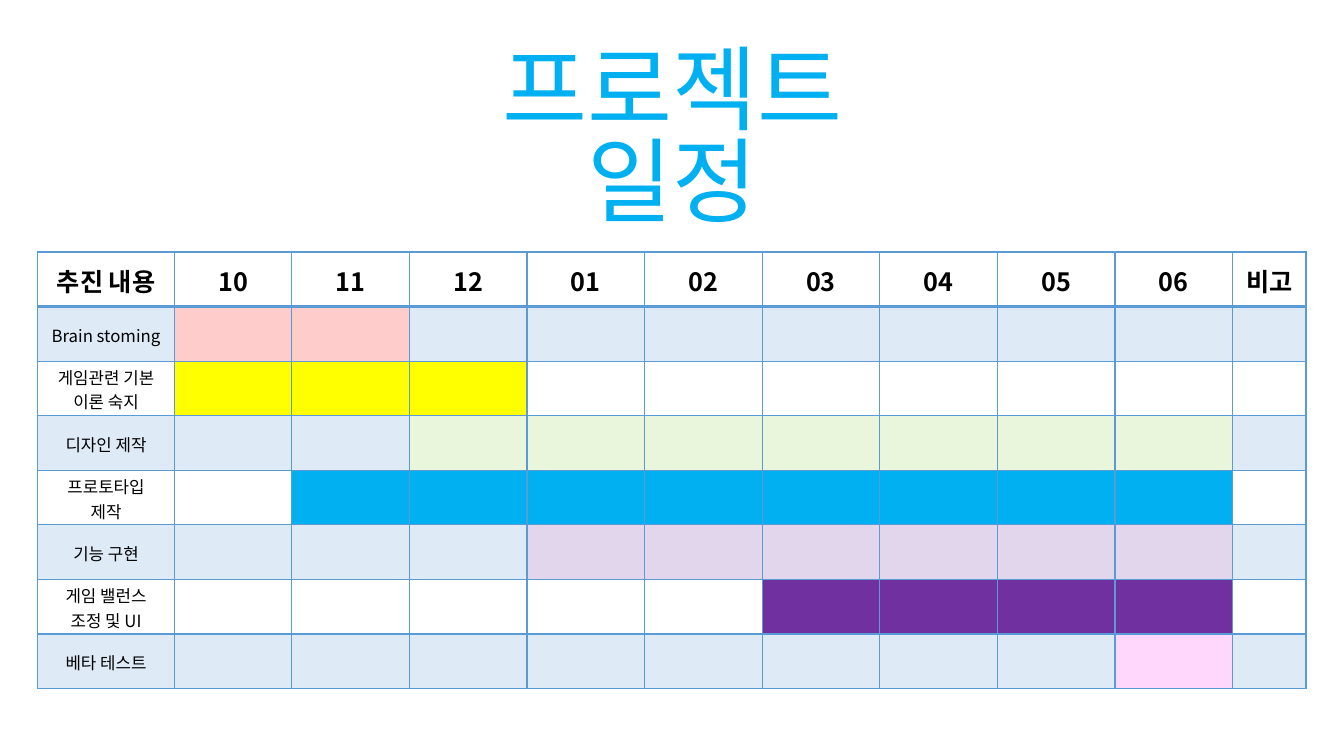
from lxml.etree import SubElement
from pptx import Presentation
from pptx.dml.color import RGBColor
from pptx.enum.text import MSO_ANCHOR, PP_ALIGN
from pptx.oxml.ns import qn
from pptx.util import Pt

PX = 9525  # EMU per px, 96 px to the inch
FONT = "Noto Sans CJK KR"
COLORS = {
    "title": "00B0F0", "text": "000000", "border": "5B9BD5", "band": "DEEAF6",
    "brainstorm": "FFCCCC", "theory": "FFFF00", "design": "E9F6DC",
    "prototype": "00B0F0", "features": "E2D6EC", "balance": "7030A0",
    "beta": "FFD6FC",
}
HEADERS = ["추진 내용", "10", "11", "12", "01", "02", "03", "04", "05", "06", "비고"]
# Task, bar colour, first and last month column
TASKS = [
    ("Brain stoming", "brainstorm", 1, 2),
    ("게임관련 기본 이론 숙지", "theory", 1, 3),
    ("디자인 제작", "design", 3, 9),
    ("프로토타입\n제작", "prototype", 2, 9),
    ("기능 구현", "features", 4, 9),
    ("게임 밸런스\n조정 및 UI", "balance", 6, 9),
    ("베타 테스트", "beta", 9, 9),
]
COL_WIDTHS = [130] + [112] * 9 + [70]
ROW_HEIGHT = 52


def format_text(tf, size, color, bold=False):
    for p in tf.paragraphs:
        p.alignment = PP_ALIGN.CENTER
        for r in p.runs:
            r.font.size = Pt(size)
            r.font.bold = bold
            r.font.name = FONT
            r.font.color.rgb = RGBColor.from_string(COLORS[color])
            SubElement(r._r.get_or_add_rPr(), qn("a:ea"), typeface=FONT)


def set_borders(cell, bottom):
    tcPr = cell._tc.get_or_add_tcPr()
    for side in ("L", "R", "T", "B"):
        width = bottom if side == "B" else 1
        ln = SubElement(tcPr, qn(f"a:ln{side}"), w=str(Pt(width)))
        fill = SubElement(ln, qn("a:solidFill"))
        SubElement(fill, qn("a:srgbClr"), val=COLORS["border"])


prs = Presentation()
prs.slide_width = 1280 * PX
prs.slide_height = 720 * PX
slide = prs.slides.add_slide(prs.slide_layouts[5])

# Title
title = slide.shapes.title
title.left, title.top, title.width, title.height = 392 * PX, 77 * PX, 497 * PX, 116 * PX
tf = title.text_frame
tf.text = "프로젝트 일정"
tf.word_wrap = True
tf.vertical_anchor = MSO_ANCHOR.MIDDLE
tf.paragraphs[0].line_spacing = 0.83
format_text(tf, 66, "title")

# Schedule table
frame = slide.shapes.add_table(
    len(TASKS) + 1, len(HEADERS), 36 * PX, 240 * PX,
    sum(COL_WIDTHS) * PX, ROW_HEIGHT * (len(TASKS) + 1) * PX)
table = frame.table
table.horz_banding = False
for column, width in zip(table.columns, COL_WIDTHS):
    column.width = width * PX
for row in table.rows:
    row.height = ROW_HEIGHT * PX

# Borders go in before fills, as the cell schema orders them
for i, row in enumerate(table.rows):
    for cell in row.cells:
        cell.vertical_anchor = MSO_ANCHOR.MIDDLE
        cell.margin_top, cell.margin_bottom = 3 * PX, PX
        set_borders(cell, 2 if i == 0 else 1)

# Header row
for col, header in enumerate(HEADERS):
    cell = table.cell(0, col)
    cell.fill.background()
    cell.text_frame.text = header
    format_text(cell.text_frame, 18, "text", bold=True)

# Task rows with their month bars
for i, (task, color, first, last) in enumerate(TASKS, start=1):
    label = table.cell(i, 0).text_frame
    label.text = task
    format_text(label, 12, "text")
    for col in range(len(HEADERS)):
        fill = table.cell(i, col).fill
        key = color if first <= col <= last else "band" if i % 2 else None
        if key:
            fill.solid()
            fill.fore_color.rgb = RGBColor.from_string(COLORS[key])
        else:
            fill.background()

prs.save("out.pptx")
